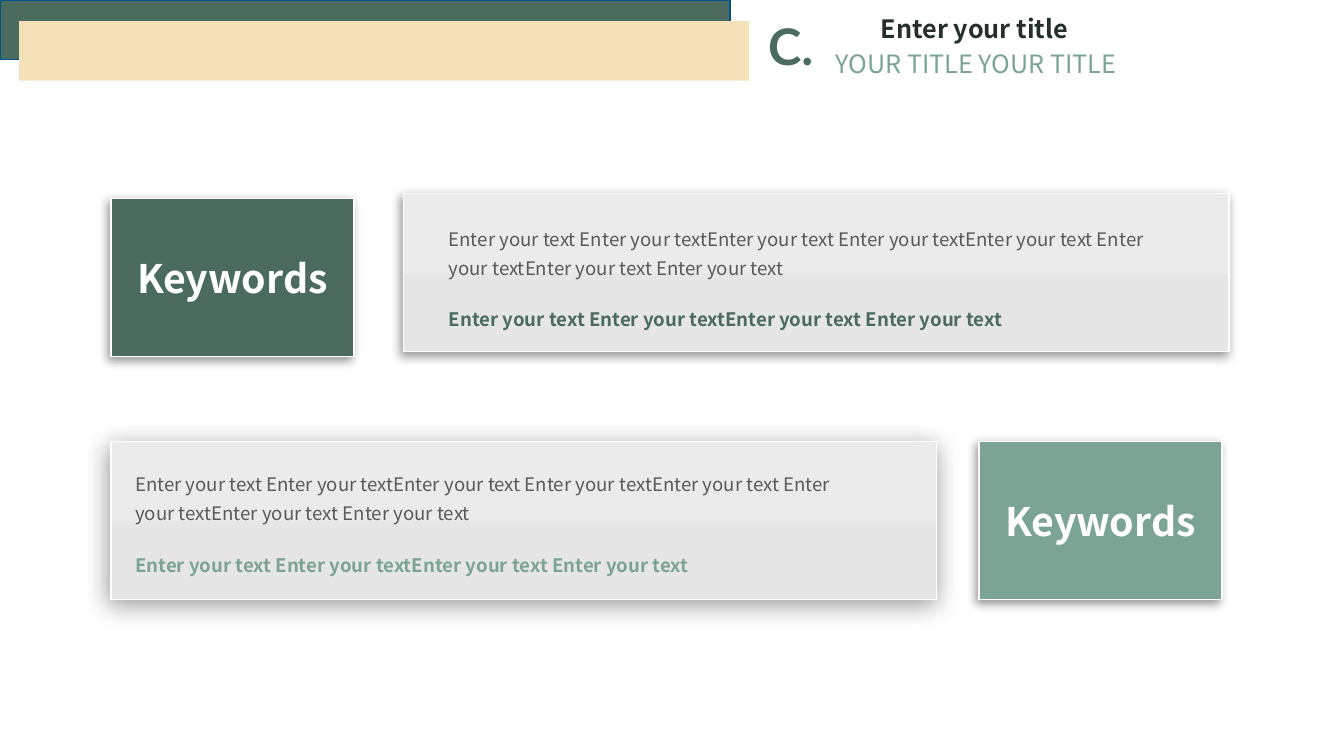
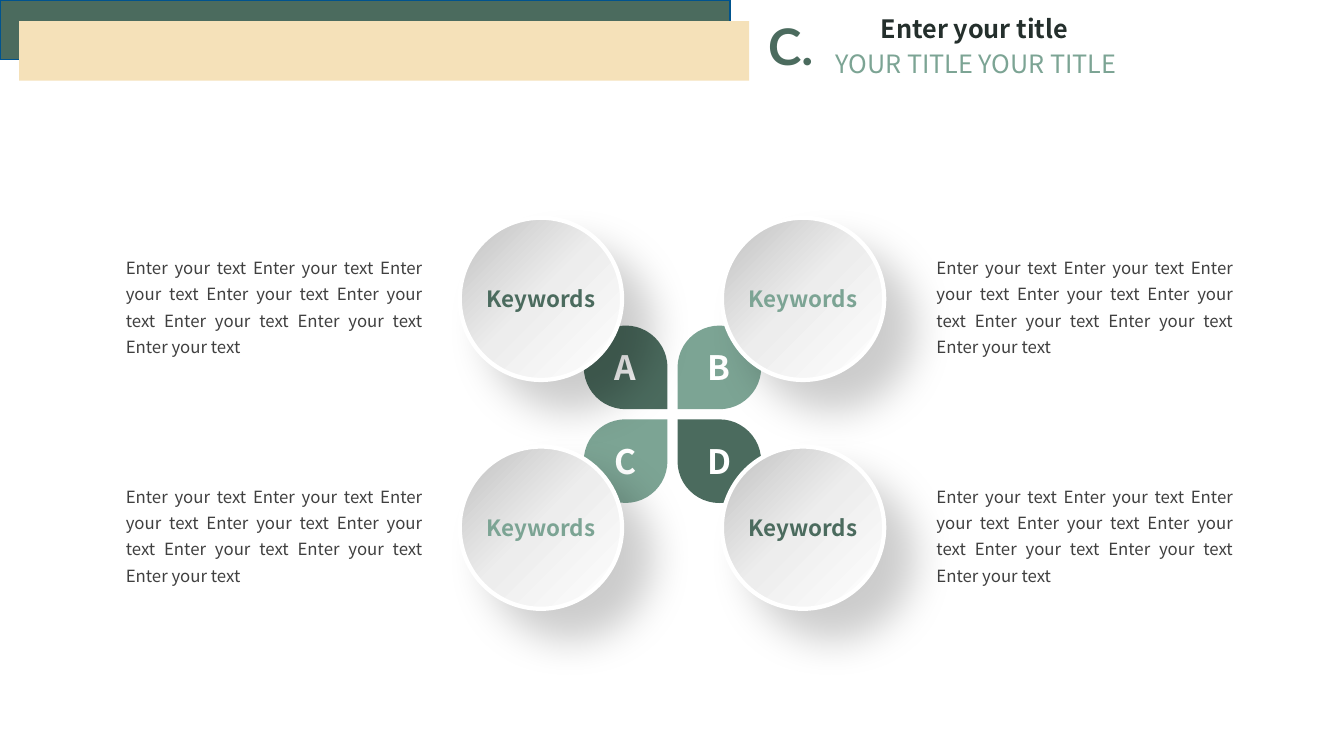
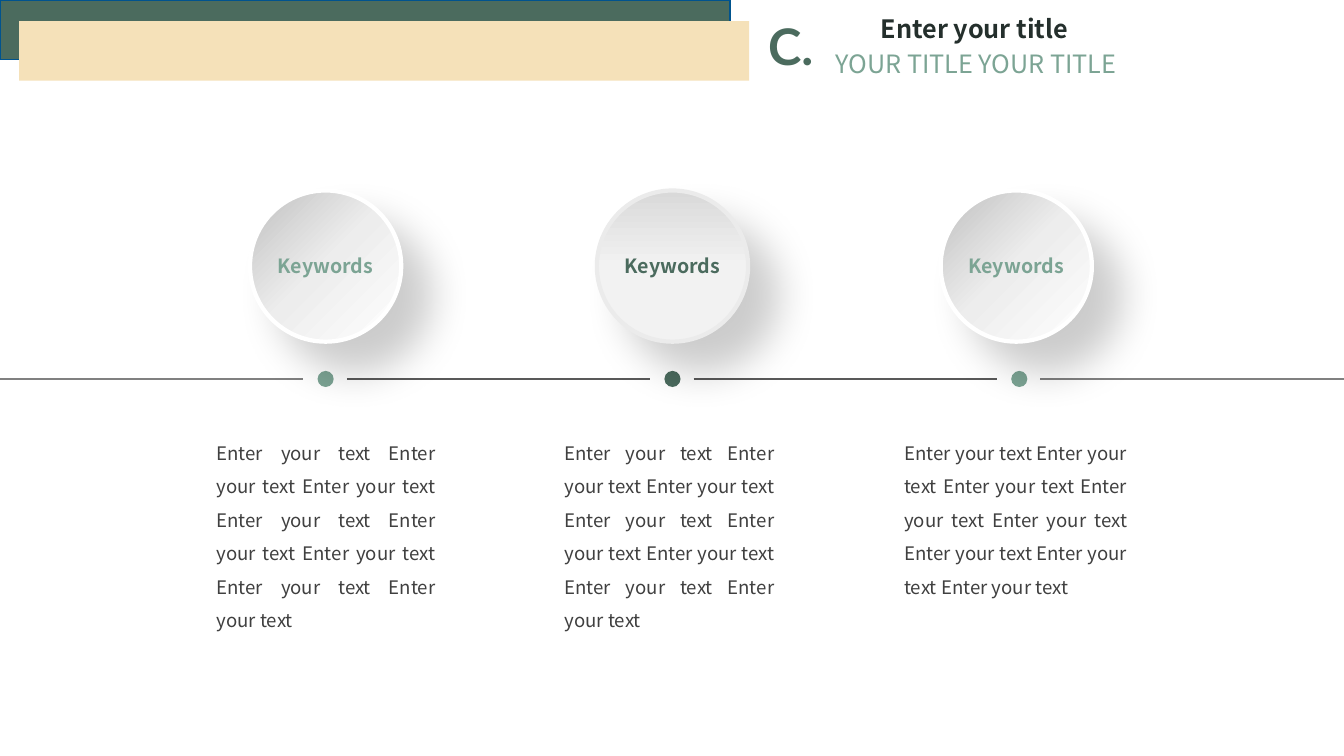
"""Build three keyword slides that share a banded header."""
from lxml.etree import SubElement
from pptx import Presentation
from pptx.dml.color import RGBColor
from pptx.enum.shapes import MSO_CONNECTOR, MSO_SHAPE
from pptx.enum.text import MSO_ANCHOR as ANCHOR
from pptx.enum.text import MSO_AUTO_SIZE as AUTO_SIZE
from pptx.enum.text import PP_ALIGN as ALIGN
from pptx.oxml.ns import qn
from pptx.util import Emu, Pt

PX = 9144
FACE = "Noto Sans CJK SC"
COLORS = {
    "forest": "4B6B5E",
    "sage": "7CA494",
    "sand": "F5E1B9",
    "navy": "00538E",
    "ink": "242F2C",
    "body": "404040",
    "gray": "595959",
    "axis_end": "808080",
    "white": "FFFFFF",
    "rim": "EBEBEB",
    "shadow": "000000",
}
PANEL_FILL = (90, [(0, "EBEBEB"), (100, "E6E6E6")])
DISC_FILL = (45, [(0, "C0C0C0"), (49, "EDEDED"), (100, "FFFFFF")])
FLAT_DISC_FILL = (270, [(0, "F2F2F2"), (50, "F2F2F2"), (100, "D9D9D9")])
TILE_SHADOW = (40, 7, 3, 135)
WIDE_SHADOW = (40, 18, 3, 135)
DISC_SHADOW = (20, 29, 29, 45)
PHRASE = "Enter your text"
PAIR = f"{PHRASE} {PHRASE}"
BODY = " ".join([PHRASE] * 8)


def px(*lengths):
    """Turn px lengths into EMU."""
    return [Emu(length * PX) for length in lengths]


def rgb(name):
    """Look up a named colour."""
    return RGBColor.from_string(COLORS[name])


def write(para, text, size, color, bold=False, face=FACE):
    """Add one formatted run to a paragraph."""
    span = para.add_run()
    span.text = text
    span.font.name = face
    span.font.size = Pt(size)
    span.font.bold = bold
    span.font.color.rgb = rgb(color)


def set_insets(frame, left, top, right, bottom):
    """Set the four inner margins of a text frame."""
    (frame.margin_left, frame.margin_top,
     frame.margin_right, frame.margin_bottom) = px(left, top, right, bottom)


def fill_gradient(shape, angle, stops):
    """Fill a shape with a linear gradient turned clockwise by angle."""
    shape.fill.gradient()
    shape.fill.gradient_angle = 360 - angle
    stop_list = shape._element.spPr.find(qn("a:gradFill")).find(qn("a:gsLst"))
    stop_list.clear()
    for position, color in stops:
        stop = SubElement(stop_list, qn("a:gs"), pos=str(position * 1000))
        SubElement(stop, qn("a:srgbClr"), val=color)


def cast_shadow(shape, alpha, blur, distance, angle):
    """Give a shape an outer shadow."""
    effects = shape._element.spPr.find(qn("a:effectLst"))
    outer = SubElement(
        effects, qn("a:outerShdw"), blurRad=str(Pt(blur)), dist=str(Pt(distance)),
        dir=str(angle * 60000), algn="ctr", rotWithShape="0")
    color = SubElement(outer, qn("a:srgbClr"), val=COLORS["shadow"])
    SubElement(color, qn("a:alpha"), val=str(alpha * 1000))


def add_shape(parent, kind, place, fill, line=None, width=1, shadow=None):
    """Add a preset shape with a plain colour or a gradient."""
    shape = parent.shapes.add_shape(kind, *px(*place))
    if isinstance(fill, str):
        shape.fill.solid()
        shape.fill.fore_color.rgb = rgb(fill)
    else:
        fill_gradient(shape, *fill)
    if line:
        shape.line.color.rgb = rgb(line)
        shape.line.width = Pt(width)
    else:
        shape.line.fill.background()
    shape.shadow.inherit = False
    if shadow:
        cast_shadow(shape, *shadow)
    return shape


def add_label(shape, text, size, color):
    """Centre one bold label inside a shape."""
    frame = shape.text_frame
    frame.word_wrap = True
    frame.vertical_anchor = ANCHOR.MIDDLE
    set_insets(frame, 0, 5, 0, 5)
    frame.paragraphs[0].alignment = ALIGN.CENTER
    write(frame.paragraphs[0], text, size, color, bold=True)


def add_text(page, place, text, size, color, align=ALIGN.LEFT, spacing=1.0,
             wrap=True, bold=False, face=FACE):
    """Add a text box that grows with its text."""
    frame = page.shapes.add_textbox(*px(*place)).text_frame
    frame.word_wrap = wrap
    frame.auto_size = AUTO_SIZE.SHAPE_TO_FIT_TEXT
    para = frame.paragraphs[0]
    para.alignment = align
    para.line_spacing = spacing
    write(para, text, size, color, bold, face)


def add_page(deck):
    """Add a slide with the shared bands, letter, title and subtitle."""
    page = deck.slides.add_slide(deck.slide_layouts[5])
    add_shape(page, MSO_SHAPE.RECTANGLE, (0, 0, 724, 59), "forest", "navy")
    add_shape(page, MSO_SHAPE.RECTANGLE, (19, 21, 724, 59), "sand")
    title = page.shapes.title
    title.left, title.top, title.width, title.height = px(810, 8, 313, 40)
    frame = title.text_frame
    frame.word_wrap = True
    frame.auto_size = AUTO_SIZE.SHAPE_TO_FIT_TEXT
    frame.vertical_anchor = ANCHOR.TOP
    frame.paragraphs[0].alignment = ALIGN.CENTER
    write(frame.paragraphs[0], "Enter your title", 18, "ink", bold=True)
    add_text(page, (752, 10, 79, 71), "C.", 36, "forest",
             wrap=False, bold=True, face="Lato")
    add_text(page, (819, 43, 313, 40), "YOUR TITLE YOUR TITLE", 18, "sage")
    return page


def add_tile(page, left, top, color):
    """Add a coloured keyword rectangle."""
    tile = add_shape(page, MSO_SHAPE.RECTANGLE, (left, top, 241, 157), color,
                     "white", shadow=TILE_SHADOW)
    add_label(tile, "Keywords", 28, "white")


def add_panel(page, left, top, insets, accent, shadow):
    """Add a wide panel with body text and a bold closing line."""
    panel = add_shape(page, MSO_SHAPE.RECTANGLE, (left, top, 819, 157), PANEL_FILL,
                      "white", shadow=shadow)
    frame = panel.text_frame
    frame.word_wrap = True
    frame.vertical_anchor = ANCHOR.TOP
    set_insets(frame, *insets)
    para = frame.paragraphs[0]
    para.alignment = ALIGN.LEFT
    para.line_spacing = 1.3
    write(para, PAIR * 4, 13.3, "gray")
    closing = frame.add_paragraph()
    closing.alignment = ALIGN.LEFT
    closing.space_before = Pt(21)
    write(closing, PAIR * 2, 13.3, accent, bold=True)


def add_petal(page, left, top, turn, letter, color):
    """Add a turned teardrop grouped with its upright letter."""
    petal = page.shapes.add_group_shape()
    place = (left, top, 83, 83)
    drop = add_shape(petal, MSO_SHAPE.TEAR, place, color)
    drop.rotation = turn
    add_label(petal.shapes.add_textbox(*px(*place)), letter, 24, "white")


def add_disc(page, left, top, size, font_size, color, fill=DISC_FILL, rim="white"):
    """Add a shaded keyword circle."""
    disc = add_shape(page, MSO_SHAPE.OVAL, (left, top, size, size), fill, rim, 3,
                     DISC_SHADOW)
    add_label(disc, "Keywords", font_size, color)


def add_line(page, start, end, y, color):
    """Add a thin horizontal line."""
    line = page.shapes.add_connector(MSO_CONNECTOR.STRAIGHT, *px(start, y, end, y))
    line.line.color.rgb = rgb(color)
    line.line.width = Pt(1)
    SubElement(line._element.spPr, qn("a:effectLst"))


def build_panels(deck):
    """Build the slide with two keyword rows."""
    page = add_page(deck)
    add_tile(page, 110, 197, "forest")
    add_panel(page, 400, 192, (45, 27, 81, 0), "forest", TILE_SHADOW)
    add_tile(page, 971, 438, "sage")
    add_panel(page, 110, 438, (24, 25, 71, 0), "sage", WIDE_SHADOW)


def build_petals(deck):
    """Build the slide with four petals, circles and texts."""
    page = add_page(deck)
    cells = [
        (0, 0, 90, "A", "forest"),
        (1, 0, 180, "B", "sage"),
        (0, 1, 0, "C", "sage"),
        (1, 1, 270, "D", "forest"),
    ]
    for column, row, turn, letter, color in cells:
        add_text(page, (115 + 804 * column, 245 + 227 * row, 314, 115), BODY, 12,
                 "body", ALIGN.JUSTIFY, 1.3)
        add_petal(page, 579 + 93 * column, 323 + 93 * row, turn, letter, color)
    for column, row, turn, letter, color in cells:
        add_disc(page, 456 + 260 * column, 216 + 227 * row, 161, 16, color)


def build_timeline(deck):
    """Build the slide with three circles above a dotted axis."""
    page = add_page(deck)
    step = 344
    for index, color in enumerate(("axis_end", "gray", "gray", "axis_end")):
        add_line(page, step * index, step * index + 301, 376, color)
    stages = [
        (248, 205, 237, "sage", DISC_FILL, "white"),
        (592, 550, 228, "forest", FLAT_DISC_FILL, "rim"),
        (933, 887, 241, "sage", DISC_FILL, "white"),
    ]
    for index, (disc_left, text_left, width, color, fill, rim) in enumerate(stages):
        add_shape(page, MSO_SHAPE.OVAL, (315 + step * index, 368, 16, 16), color)
        add_disc(page, disc_left, 189, 150, 14, color, fill, rim)
        add_text(page, (text_left, 422, width, 208), BODY, 13.3, "body",
                 ALIGN.JUSTIFY, 1.5)


def main():
    """Build and save the deck."""
    deck = Presentation()
    deck.slide_width, deck.slide_height = px(1333, 750)
    build_panels(deck)
    build_petals(deck)
    build_timeline(deck)
    deck.save("out.pptx")


if __name__ == "__main__":
    main()
